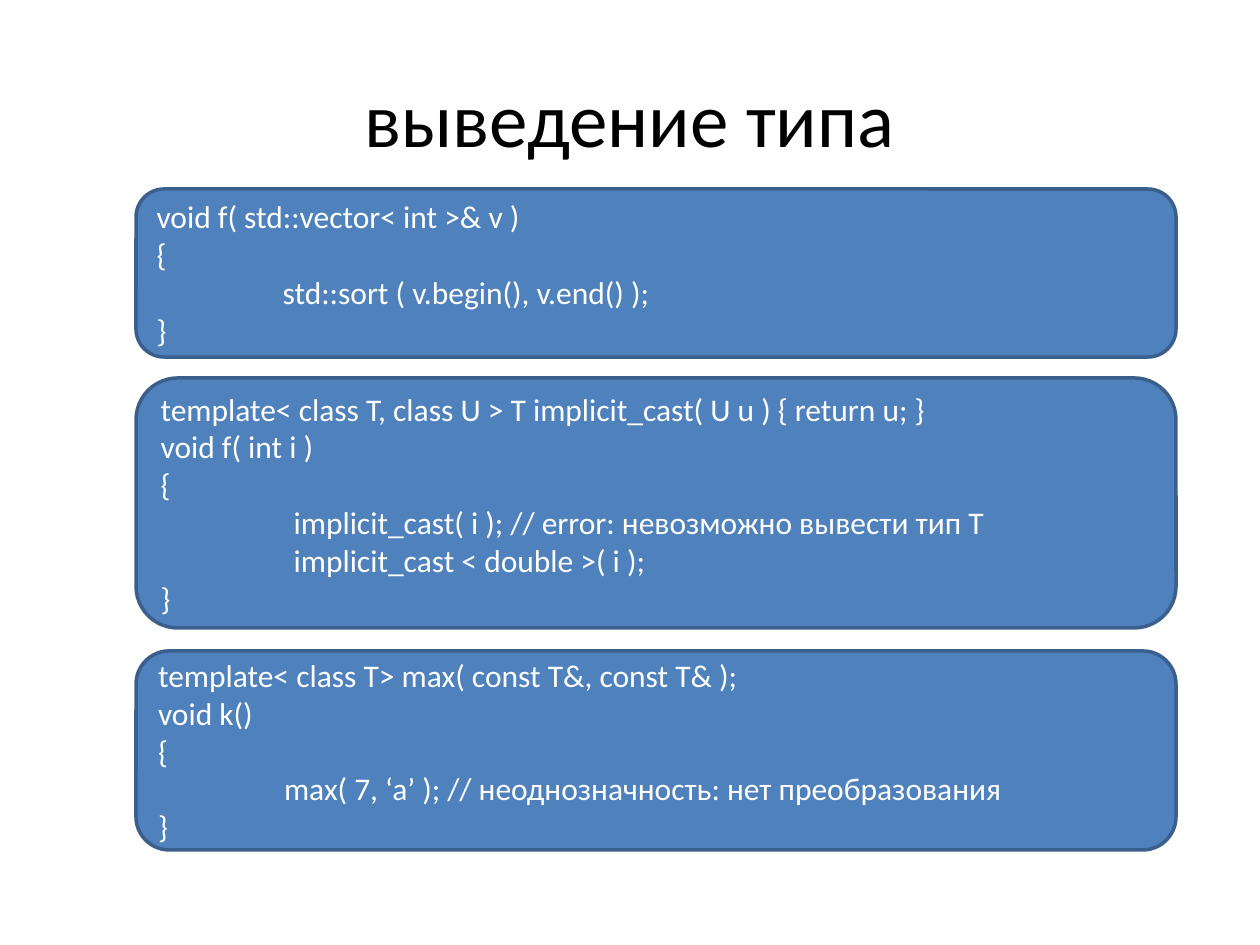
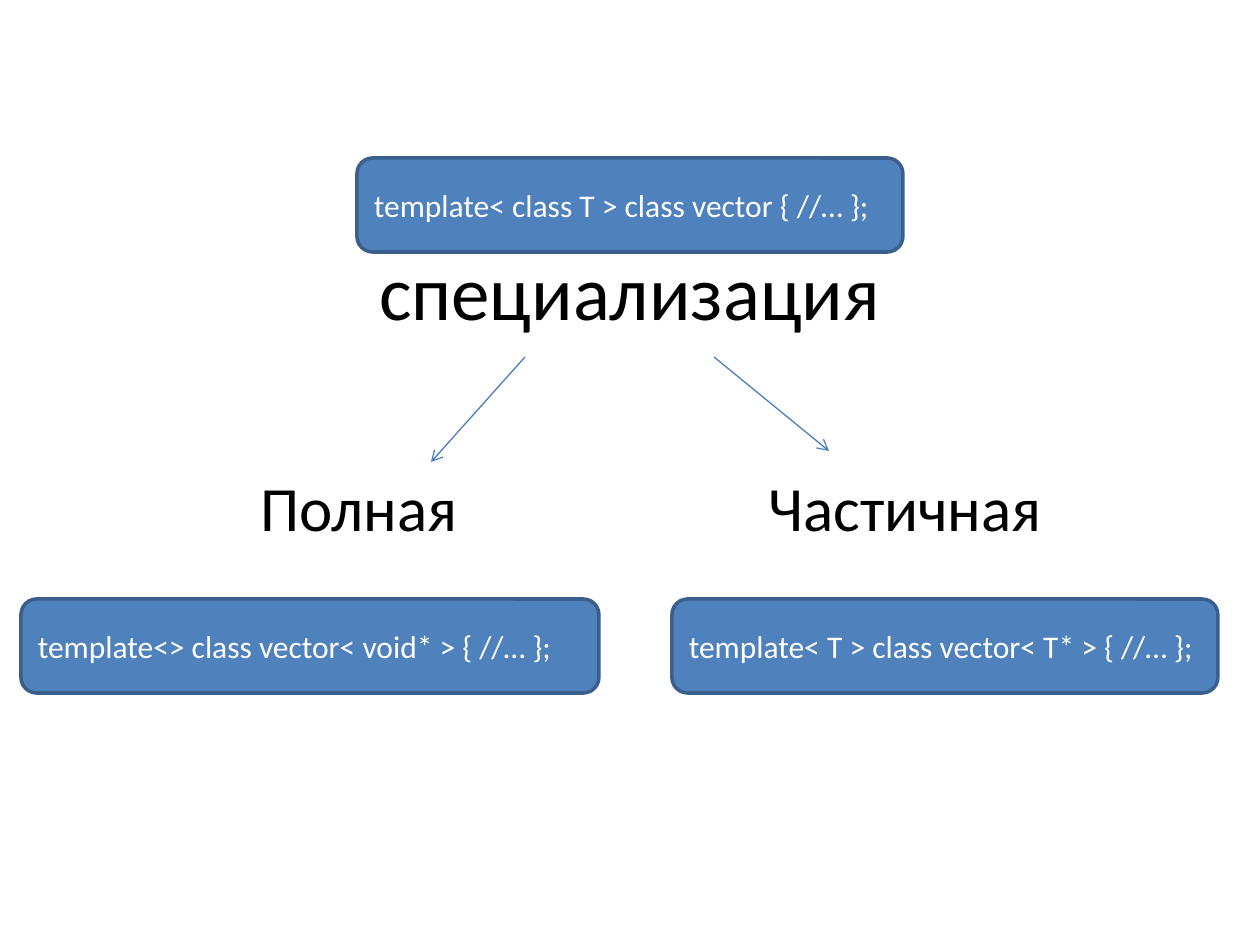
"""Build two slides on C++ templates: type deduction and specialization."""
from dataclasses import dataclass

from lxml import etree
from pptx import Presentation
from pptx.dml.color import RGBColor
from pptx.enum.shapes import MSO_CONNECTOR, MSO_SHAPE
from pptx.enum.text import MSO_ANCHOR, MSO_AUTO_SIZE, PP_ALIGN
from pptx.oxml.ns import qn
from pptx.util import Emu, Pt

ROUNDED = MSO_SHAPE.ROUNDED_RECTANGLE
STRAIGHT = MSO_CONNECTOR.STRAIGHT
TOP, MIDDLE = MSO_ANCHOR.TOP, MSO_ANCHOR.MIDDLE
LEFT, CENTER = PP_ALIGN.LEFT, PP_ALIGN.CENTER
FIXED, GROW = MSO_AUTO_SIZE.NONE, MSO_AUTO_SIZE.SHAPE_TO_FIT_TEXT

# Content
DEDUCTION_TITLE = "выведение типа"
# (top, height, code lines)
DEDUCTION_CODE = [
    (189, 168, ["void f( std::vector< int >& v )",
                "{",
                "\tstd::sort ( v.begin(), v.end() ); ",
                "}"]),
    (378, 250, ["template< class T, class U > T implicit_cast( U u ) { return u; }",
                "void f( int i )",
                "{",
                "\t implicit_cast( i ); // error: невозможно вывести тип T",
                "\t implicit_cast < double >( i );",
                "}"]),
    (651, 199, ["template< class T> max( const T&, const T& );",
                "void k()",
                "{",
                "\tmax( 7, ‘a’ ); // неоднозначность: нет преобразования",
                "}"]),
]
SPECIALIZATION_TITLE = "специализация"
# (left, width, text)
KINDS = [(756, 302, "Частичная"), (248, 224, "Полная")]
# (left, top, width, code)
SPECIALIZATION_CODE = [
    (357, 158, 546, "template< class T > class vector { //… };"),
    (21, 599, 578, "template<> class vector< void* > { //… };"),
    (672, 599, 546, "template< T > class vector< T* > { //… };"),
]
# (start x, start y, end x, end y)
ARROWS = [(525, 357, 431, 462), (714, 357, 829, 451)]

# Layout in pixels
PAGE_WIDTH, PAGE_HEIGHT = 1260, 945
PIXEL = 914400 // 126
TITLE_LEFT, TITLE_HEIGHT = 63, 158
CODE_LEFT, CODE_WIDTH = 136, 1040
KIND_TOP, KIND_HEIGHT = 462, 89
SNIPPET_HEIGHT = 94
TAB_STOP = 126


@dataclass(frozen=True)
class Theme:
    """Colours, font and type sizes shared by the slides."""
    font: str = "Calibri"
    background: RGBColor = RGBColor(0xFF, 0xFF, 0xFF)
    ink: RGBColor = RGBColor(0, 0, 0)
    code_ink: RGBColor = RGBColor(0xFF, 0xFF, 0xFF)
    code_fill: RGBColor = RGBColor(0x4F, 0x81, 0xBD)
    code_border: RGBColor = RGBColor(0x3A, 0x5F, 0x8C)
    arrow: RGBColor = RGBColor(0x4B, 0x7E, 0xBC)
    title_size: float = 44
    kind_size: float = 36
    code_size: float = 18
    border_width: float = 2
    arrow_width: float = 0.75


THEME = Theme()


def scaled(*pixels):
    """Turn pixel lengths into EMU."""
    return [Emu(value * PIXEL) for value in pixels]


def set_all(target, **values):
    """Set each named format value on the target."""
    for name, value in values.items():
        setattr(target, name, value)


def add_tab_stop(para):
    """Give a paragraph the tab stop that indents code."""
    stops = etree.SubElement(para._p.get_or_add_pPr(), qn("a:tabLst"))
    etree.SubElement(stops, qn("a:tab"), pos=str(TAB_STOP * PIXEL), algn="l")


def write(box, lines, size, color, align=LEFT, **frame_format):
    """Fill a box with one paragraph per line."""
    frame = box.text_frame
    set_all(frame, **frame_format)
    for index, line in enumerate(lines):
        para = frame.paragraphs[0] if index == 0 else frame.add_paragraph()
        para.alignment = align
        if "\t" in line:
            add_tab_stop(para)
        span = para.add_run()
        span.text = line
        set_all(span.font, name=THEME.font, size=Pt(size))
        span.font.color.rgb = color


def add_page(deck):
    """Add a blank page with the shared background."""
    page = deck.slides.add_slide(deck.slide_layouts[6])
    page.background.fill.solid()
    page.background.fill.fore_color.rgb = THEME.background
    return page


def add_title(page, text, top):
    """Add a centred title across the page."""
    width = PAGE_WIDTH - 2 * TITLE_LEFT
    box = page.shapes.add_textbox(*scaled(TITLE_LEFT, top, width, TITLE_HEIGHT))
    write(box, [text], THEME.title_size, THEME.ink, CENTER,
          word_wrap=True, vertical_anchor=MIDDLE, auto_size=FIXED)


def add_kind(page, left, width, text):
    """Add a label naming one kind of specialization."""
    box = page.shapes.add_textbox(*scaled(left, KIND_TOP, width, KIND_HEIGHT))
    write(box, [text], THEME.kind_size, THEME.ink,
          word_wrap=False, vertical_anchor=TOP, auto_size=GROW)


def add_code(page, left, top, width, height, lines):
    """Add a rounded box with lines of code."""
    box = page.shapes.add_shape(ROUNDED, *scaled(left, top, width, height))
    box.shadow.inherit = False
    box.fill.solid()
    box.fill.fore_color.rgb = THEME.code_fill
    box.line.color.rgb = THEME.code_border
    box.line.width = Pt(THEME.border_width)
    write(box, lines, THEME.code_size, THEME.code_ink,
          word_wrap=True, vertical_anchor=MIDDLE)


def add_arrow(page, *ends):
    """Add a thin line with an open arrowhead at its end."""
    arrow = page.shapes.add_connector(STRAIGHT, *scaled(*ends))
    arrow.line.color.rgb = THEME.arrow
    arrow.line.width = Pt(THEME.arrow_width)
    properties = arrow.line._get_or_add_ln()
    etree.SubElement(properties, qn("a:tailEnd"), type="arrow")
    etree.SubElement(properties.getparent(), qn("a:effectLst"))


def build_deduction(deck):
    """Build the page on type deduction."""
    page = add_page(deck)
    add_title(page, DEDUCTION_TITLE, 38)
    for top, height, lines in DEDUCTION_CODE:
        add_code(page, CODE_LEFT, top, CODE_WIDTH, height, lines)


def build_specialization(deck):
    """Build the page on full and partial specialization."""
    page = add_page(deck)
    add_title(page, SPECIALIZATION_TITLE, 211)
    for ends in ARROWS:
        add_arrow(page, *ends)
    for left, width, text in KINDS:
        add_kind(page, left, width, text)
    for left, top, width, code in SPECIALIZATION_CODE:
        add_code(page, left, top, width, SNIPPET_HEIGHT, [code])


def main():
    """Build the deck and save it."""
    deck = Presentation()
    deck.slide_width, deck.slide_height = scaled(PAGE_WIDTH, PAGE_HEIGHT)
    build_deduction(deck)
    build_specialization(deck)
    deck.save("out.pptx")


main()
